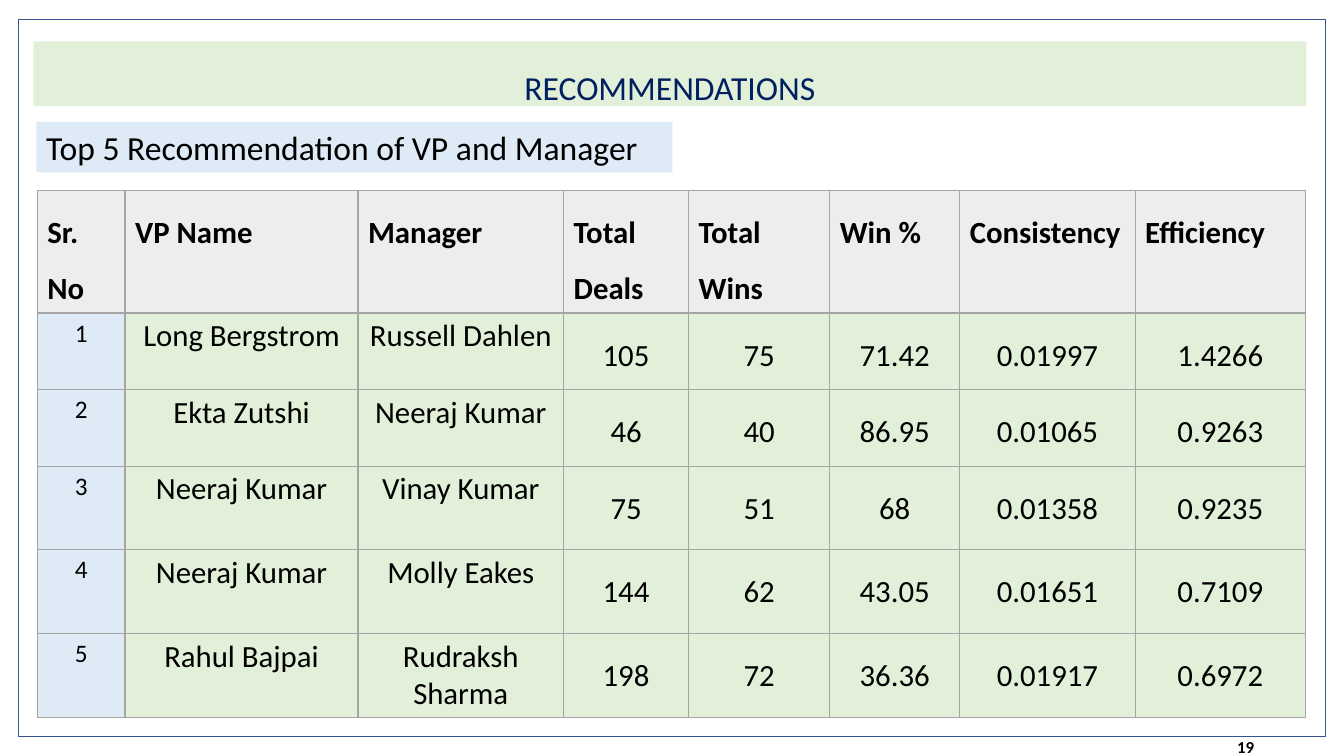
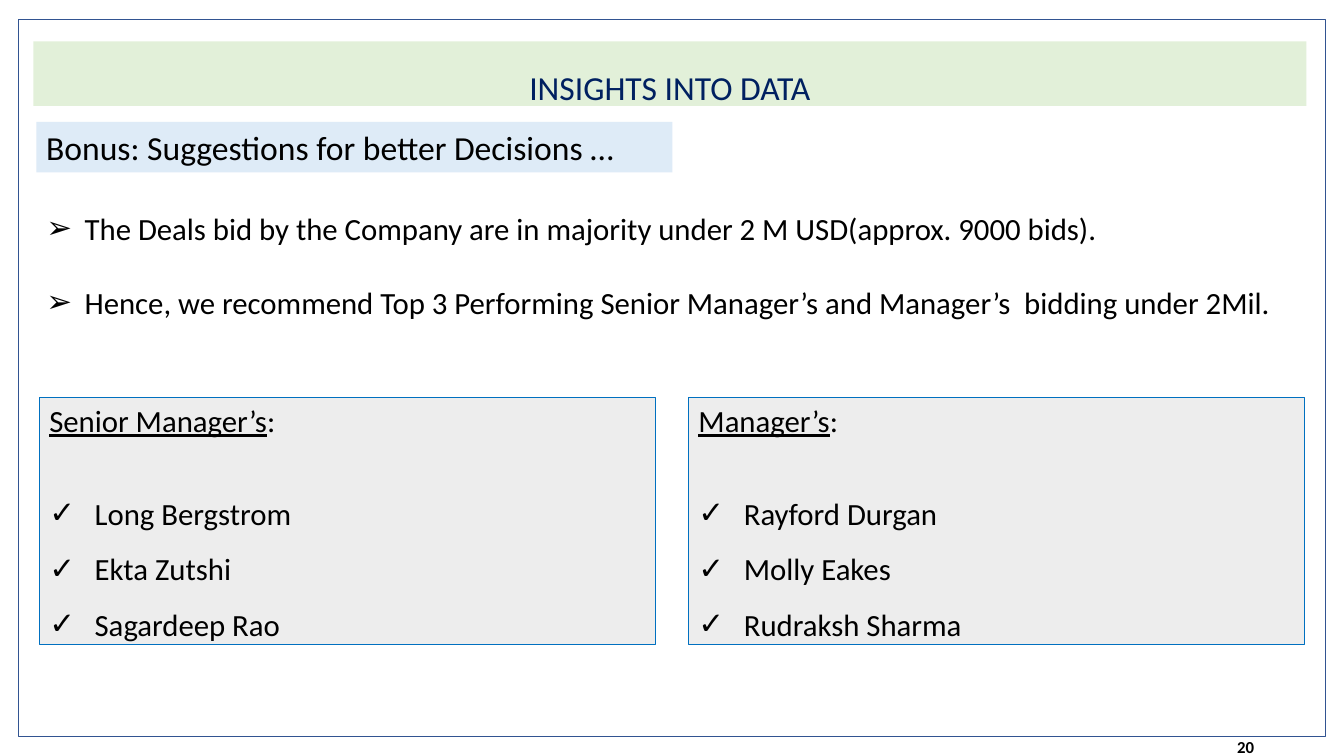
import pptx
import pptx.dml.color
import pptx.enum.shapes
import pptx.enum.text
import pptx.oxml
import pptx.oxml.ns
import pptx.util
from lxml import etree

# Shared look
FONT = "Calibri"
BLACK, NAVY = "000000", "002060"
GREEN, BLUE, GREY = "E2F0D9", "DEEBF7", "EDEDED"
FRAME_LINE, CARD_LINE, TABLE_LINE = "325491", "0070C0", "A5A5A5"
BLANK_LINE = pptx.util.Pt(26.5)
color = pptx.dml.color.RGBColor.from_string
qn = pptx.oxml.ns.qn
Anchor = pptx.enum.text.MSO_ANCHOR
Align = pptx.enum.text.PP_ALIGN
RECTANGLE = pptx.enum.shapes.MSO_SHAPE.RECTANGLE

presentation = pptx.Presentation()
presentation.slide_width = pptx.util.Inches(13.33)
presentation.slide_height = pptx.util.Inches(7.5)

# The grid has 100 columns and 100 rows
COLUMN = presentation.slide_width / 100
ROW = presentation.slide_height / 100


def style_box(shape, area, fill=None, line=None):
    """Place a shape on the grid as left, top, width, height and paint it."""
    left, top, width, height = area
    shape.left, shape.width = int(left * COLUMN), int(width * COLUMN)
    shape.top, shape.height = int(top * ROW), int(height * ROW)
    if fill:
        shape.fill.solid()
        shape.fill.fore_color.rgb = color(fill)
    else:
        shape.fill.background()
    if line:
        shape.line.color.rgb = color(line)
        shape.line.width = pptx.util.Pt(0.5)
    else:
        shape.line.fill.background()
    shape.shadow.inherit = False
    frame = shape.text_frame
    frame.word_wrap = True
    frame.auto_size = pptx.enum.text.MSO_AUTO_SIZE.NONE
    frame.vertical_anchor = Anchor.TOP
    return frame


def write(paragraph, text, size, ink=BLACK, bold=False, underline=False,
          align=Align.LEFT, spacing=1.0, bullet=None, indent=0.38):
    """Add one run and format its paragraph."""
    run = paragraph.add_run()
    run.text = text
    run.font.name, run.font.size = FONT, pptx.util.Pt(size)
    run.font.color.rgb = color(ink)
    run.font.bold, run.font.underline = bold, underline
    paragraph.alignment = align
    paragraph.line_spacing = spacing
    if bullet:
        properties = paragraph._p.get_or_add_pPr()
        properties.set("marL", str(pptx.util.Inches(indent)))
        properties.set("indent", str(-pptx.util.Inches(indent)))
        etree.SubElement(properties, qn("a:buFont")).set("typeface", "Arial")
        etree.SubElement(properties, qn("a:buChar")).set("char", bullet)


# Both slides: frame, title band, subtitle band, page number
TITLE_AND_CONTENT, TITLE_ONLY = 1, 5
slides = []
for layout, title, subtitle, number in [
    (TITLE_ONLY, "RECOMMENDATIONS", "Top 5 Recommendation of VP and Manager", "19"),
    (TITLE_AND_CONTENT, "INSIGHTS INTO DATA", "Bonus: Suggestions for better Decisions …", "20"),
]:
    slide = presentation.slides.add_slide(presentation.slide_layouts[layout])
    slides.append(slide)
    style_box(slide.shapes.add_shape(RECTANGLE, 0, 0, 0, 0),
              (1.35, 2.53, 97.28, 94.93), line=FRAME_LINE)

    frame = style_box(slide.shapes.title, (2.48, 5.47, 94.72, 8.53), GREEN)
    write(frame.paragraphs[0], title, 24, NAVY, align=Align.CENTER, spacing=1.5)

    band = slide.shapes.add_shape(RECTANGLE, 0, 0, 0, 0)
    frame = style_box(band, (2.7, 16.13, 47.33, 6.67), BLUE)
    write(frame.paragraphs[0], subtitle, 24)

    page_number = slide.shapes.add_textbox(0, 0, 0, 0)
    frame = style_box(page_number, (90.83, 97.6, 2.48, 2.4))
    frame.margin_left = frame.margin_right = frame.margin_top = frame.margin_bottom = 0
    frame.vertical_anchor = Anchor.MIDDLE
    write(frame.paragraphs[0], number, 12, bold=True, align=Align.RIGHT)

recommendations, insights = slides

# Recommendations: table
rows = [
    ("Sr. No", "VP Name", "Manager", "Total Deals", "Total Wins", "Win %", "Consistency", "Efficiency"),
    ("1", "Long Bergstrom", "Russell Dahlen", "105", "75", "71.42", "0.01997", "1.4266"),
    ("2", "Ekta Zutshi", "Neeraj Kumar", "46", "40", "86.95", "0.01065", "0.9263"),
    ("3", "Neeraj Kumar", "Vinay Kumar", "75", "51", "68", "0.01358", "0.9235"),
    ("4", "Neeraj Kumar", "Molly Eakes", "144", "62", "43.05", "0.01651", "0.7109"),
    ("5", "Rahul Bajpai", "Rudraksh Sharma", "198", "72", "36.36", "0.01917", "0.6972"),
]
widths = [6.53, 17.33, 15.3, 9.3, 10.5, 9.68, 13.05, 12.68]
heights = [16, 10.13, 10.13, 11.07, 11.07, 11.07]
table = recommendations.shapes.add_table(
    len(rows), len(widths), int(2.78 * COLUMN), int(25.2 * ROW),
    int(sum(widths) * COLUMN), int(sum(heights) * ROW)).table
table.horz_banding = False
for column, width in zip(table.columns, widths):
    column.width = int(width * COLUMN)
for row, height in zip(table.rows, heights):
    row.height = int(height * ROW)

for row_index, values in enumerate(rows):
    for column_index, value in enumerate(values):
        cell = table.cell(row_index, column_index)
        paragraph = cell.text_frame.paragraphs[0]
        if row_index == 0:
            fill = GREY
            write(paragraph, value, 22, bold=True, spacing=1.5)
        elif column_index == 0:
            fill = BLUE
            write(paragraph, value, 18, align=Align.CENTER)
        else:
            fill = GREEN
            spacing = pptx.util.Pt(26.4) if column_index < 3 else 1.5
            write(paragraph, value, 22, align=Align.CENTER, spacing=spacing)

        # Borders come before the fill; the rule under the header is thicker
        properties = cell._tc.get_or_add_tcPr()
        for edge in "LRTB":
            under_header = (row_index, edge) in [(0, "B"), (1, "T")]
            border = etree.SubElement(properties, qn("a:ln" + edge))
            border.set("w", str(pptx.util.Pt(2 if under_header else 1)))
            solid = etree.SubElement(border, qn("a:solidFill"))
            etree.SubElement(solid, qn("a:srgbClr")).set("val", TABLE_LINE)
        cell.fill.solid()
        cell.fill.fore_color.rgb = color(fill)

# Insights: bullet list
frame = style_box(insights.placeholders[1], (2.7, 27.07, 94.5, 16.13))
for index, text in enumerate([
    "The Deals bid by the Company are in majority under 2 M USD(approx. 9000 bids).",
    "Hence, we recommend Top 3 Performing Senior Manager’s and Manager’s  bidding under 2Mil.",
]):
    paragraph = frame.add_paragraph() if index else frame.paragraphs[0]
    paragraph.space_before = BLANK_LINE if index else 0
    write(paragraph, text, 22, bullet="➢")

# Insights: two cards of names
for index, (heading, names) in enumerate([
    ("Senior Manager’s", ["Long Bergstrom", "Ekta Zutshi", "Sagardeep Rao"]),
    ("Manager’s", ["Rayford Durgan", "Molly Eakes", "Rudraksh Sharma"]),
]):
    card = insights.shapes.add_shape(RECTANGLE, 0, 0, 0, 0)
    frame = style_box(card, (2.93 + index * 48.3, 52.53, 45.83, 32.67), GREY, CARD_LINE)
    write(frame.paragraphs[0], heading, 22, underline=True)
    write(frame.paragraphs[0], ":", 22)
    for name_index, name in enumerate(names):
        paragraph = frame.add_paragraph()
        paragraph.space_before = 0 if name_index else BLANK_LINE
        write(paragraph, name, 22, spacing=1.5, bullet="✓", indent=0.45)

presentation.save("out.pptx")
